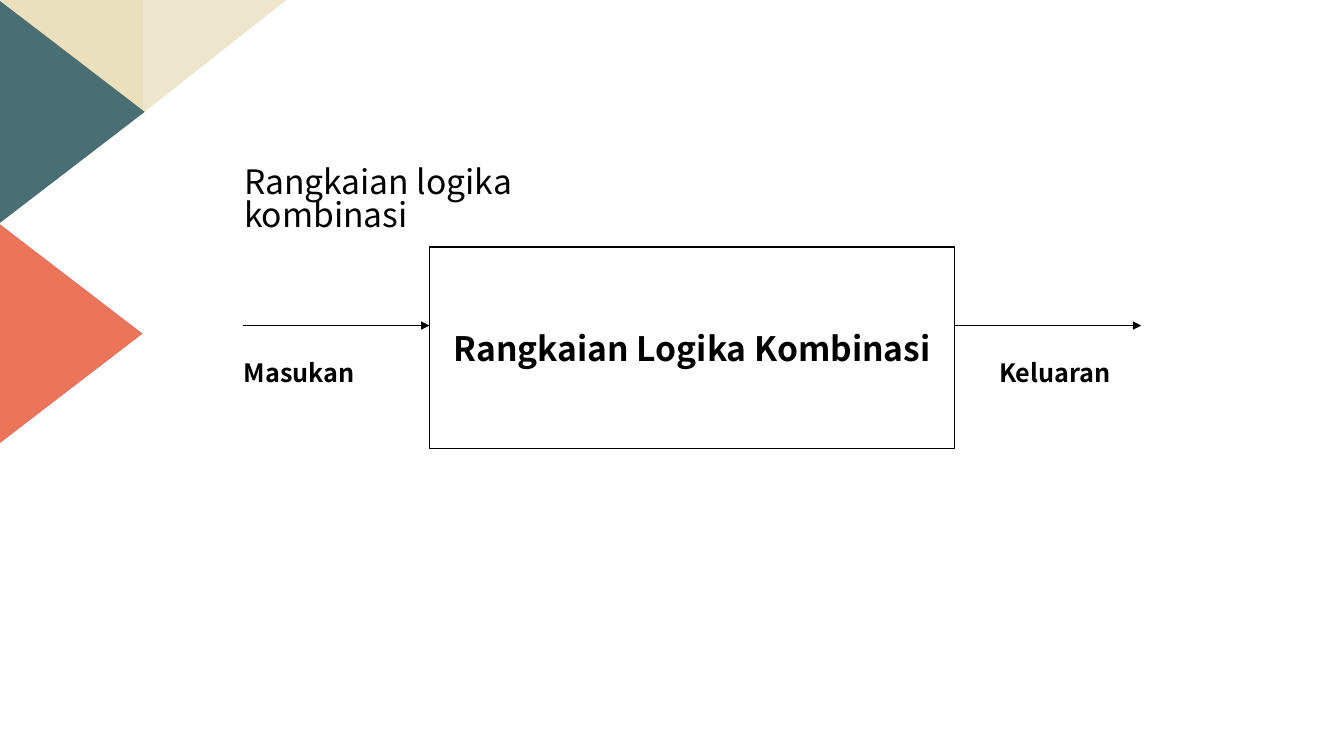
from lxml import etree
from pptx import Presentation
from pptx.dml.color import RGBColor
from pptx.enum.shapes import MSO_CONNECTOR, MSO_SHAPE
from pptx.enum.text import MSO_ANCHOR, MSO_AUTO_SIZE, PP_ALIGN
from pptx.oxml.ns import qn
from pptx.util import Inches, Pt

RIGHT_TRIANGLE = MSO_SHAPE.RIGHT_TRIANGLE
TRIANGLE = MSO_SHAPE.ISOSCELES_TRIANGLE
RECTANGLE = MSO_SHAPE.RECTANGLE
STRAIGHT = MSO_CONNECTOR.STRAIGHT
TOP, MIDDLE = MSO_ANCHOR.TOP, MSO_ANCHOR.MIDDLE
LEFT, CENTER = PP_ALIGN.LEFT, PP_ALIGN.CENTER
GROW = MSO_AUTO_SIZE.SHAPE_TO_FIT_TEXT

FONT = "Noto Sans CJK KR"
COLORS = {
    "sand": "EAE0BE",
    "pale sand": "EEE6CC",
    "teal": "496F74",
    "coral": "EC745B",
    "white": "FFFFFF",
    "black": "000000",
}

TITLE = "Rangkaian logika kombinasi"
BLOCK = "Rangkaian Logika Kombinasi"
# text, left, width
SIGNALS = [("Masukan", 2.32, 1.6), ("Keluaran", 9.81, 1.51)]
# preset, left, top, width, height, rotation, mirrored, colour
CORNER = [
    (RIGHT_TRIANGLE, 0, 0, 1.42, 1.12, 180, False, "sand"),
    (RIGHT_TRIANGLE, 1.42, 0, 1.42, 1.12, 180, True, "pale sand"),
    (TRIANGLE, -0.39, 0.39, 2.21, 1.44, 90, False, "teal"),
    (TRIANGLE, -0.41, 2.59, 2.21, 1.44, 90, False, "coral"),
]

BLOCK_LEFT, BLOCK_TOP, BLOCK_WIDTH, BLOCK_HEIGHT = 4.26, 2.45, 5.21, 2
ARROW_Y, ARROW_LENGTH = 3.23, 1.85
LABEL_TOP, LABEL_HEIGHT = 3.5, 1.35


def color(name):
    return RGBColor.from_string(COLORS[name])


def write(shape, text, size, bold=False, align=LEFT, anchor=TOP):
    frame = shape.text_frame
    frame.text = text
    frame.vertical_anchor = anchor
    paragraph = frame.paragraphs[0]
    paragraph.alignment = align
    font = paragraph.runs[0].font
    font.name, font.size, font.bold = FONT, Pt(size), bold
    font.color.rgb = color("black")
    return frame


def add_filled(slide, preset, left, top, width, height, fill):
    shape = slide.shapes.add_shape(
        preset, Inches(left), Inches(top), Inches(width), Inches(height))
    shape.shadow.inherit = False
    shape.fill.solid()
    shape.fill.fore_color.rgb = color(fill)
    shape.line.fill.background()
    return shape


def add_arrow(slide, start):
    arrow = slide.shapes.add_connector(
        STRAIGHT, Inches(start), Inches(ARROW_Y),
        Inches(start + ARROW_LENGTH), Inches(ARROW_Y))
    arrow.line.color.rgb = color("black")
    arrow.line.width = Pt(1)
    etree.SubElement(arrow.line._get_or_add_ln(), qn("a:tailEnd"), type="triangle")
    etree.SubElement(arrow._element.spPr, qn("a:effectLst"))


def main():
    deck = Presentation()
    deck.slide_width, deck.slide_height = Inches(13.33), Inches(7.5)
    slide = deck.slides.add_slide(deck.slide_layouts[5])

    for preset, left, top, width, height, rotation, mirrored, fill in CORNER:
        triangle = add_filled(slide, preset, left, top, width, height, fill)
        triangle.rotation = rotation
        if mirrored:
            triangle._element.spPr.xfrm.set("flipH", "1")

    block = add_filled(slide, RECTANGLE, BLOCK_LEFT, BLOCK_TOP,
                       BLOCK_WIDTH, BLOCK_HEIGHT, "white")
    block.line.color.rgb = color("black")
    block.line.width = Pt(1)
    write(block, BLOCK, 24, True, CENTER, MIDDLE).word_wrap = False

    for start in (BLOCK_LEFT - ARROW_LENGTH, BLOCK_LEFT + BLOCK_WIDTH):
        add_arrow(slide, start)

    for text, left, width in SIGNALS:
        label = slide.shapes.add_textbox(
            Inches(left), Inches(LABEL_TOP), Inches(width), Inches(LABEL_HEIGHT))
        write(label, text, 18, True).word_wrap = True

    title = slide.shapes.title
    title.left, title.top = Inches(2.32), Inches(1.61)
    title.width, title.height = Inches(4.4), Inches(0.5)
    frame = write(title, TITLE, 24)
    frame.word_wrap = True
    frame.auto_size = GROW
    frame.paragraphs[0].line_spacing = 0.83

    deck.save("out.pptx")


if __name__ == "__main__":
    main()
